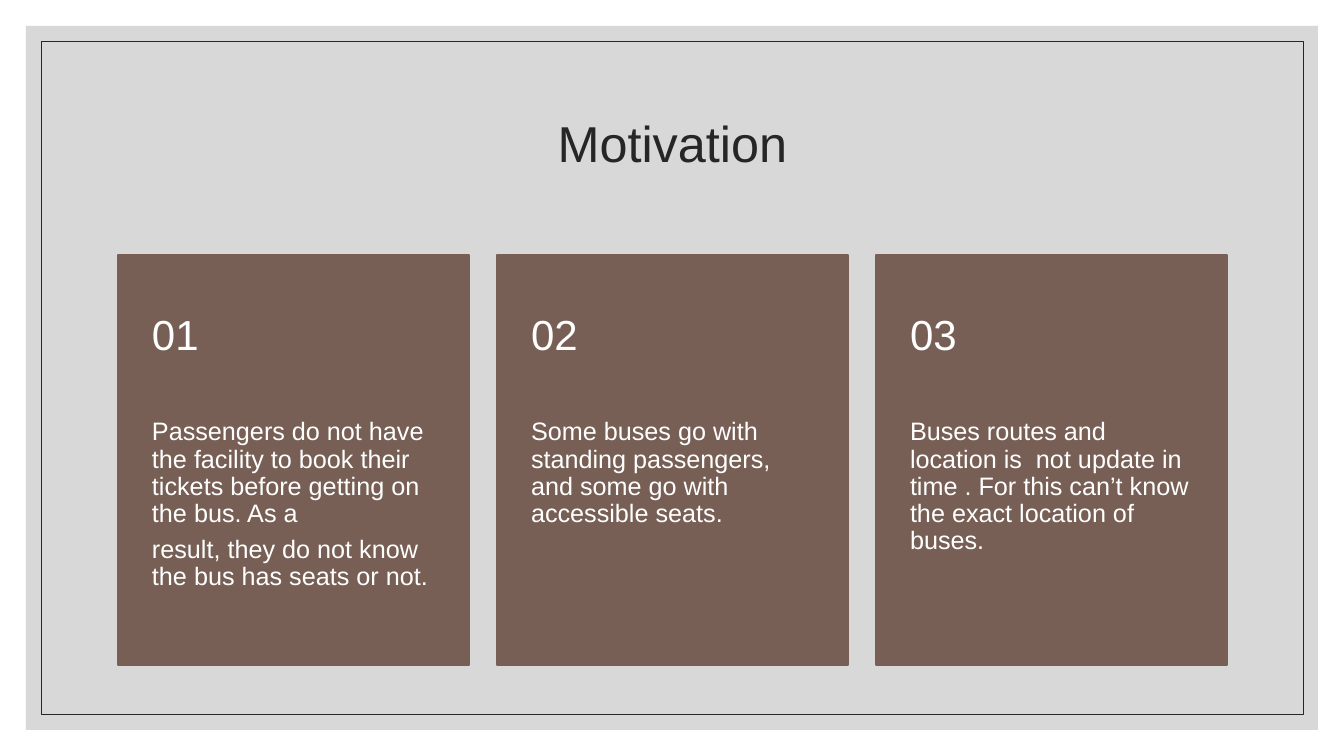
"""Build the Motivation slide: a framed backdrop, a title and three numbered cards."""
import pptx
import pptx.util
import pptx.dml.color
import pptx.enum.shapes
import pptx.enum.text
import pptx.oxml
import pptx.oxml.ns

SCALE = 914400 / 100.8
HUES = {"back": "BFBFBF", "ink": "262626", "card": "775F55", "text": "FFFFFF"}
CARDS = [
    ["Passengers do not have the facility to book their tickets before getting on the bus. As a",
     "result, they do not know the bus has seats or not."],
    ["Some buses go with standing passengers, and some go with accessible seats."],
    ["Buses routes and location is  not update in time . For this can’t know "
     "the exact location of buses. "],
]
LEFT, TOP, WIDE, HIGH, STEP = 118, 255, 351, 410, 379
HEAD = 164
PAD = 34


def emu(*pixels):
    """Turn pixels into EMU."""
    return [round(value * SCALE) for value in pixels]


def hue(name):
    """Look up a named colour."""
    return pptx.dml.color.RGBColor.from_string(HUES[name])


class Page:
    """Hold the style and the current slide."""
    face = "Arial"
    mid = pptx.enum.text.MSO_ANCHOR.MIDDLE
    top = pptx.enum.text.MSO_ANCHOR.TOP

    def __init__(self, deck):
        self.slide = deck.slides.add_slide(deck.slide_layouts[5])

    def style(self, para, size, color):
        """Set font and line spacing of a paragraph."""
        para.line_spacing = 0.9
        para.font.name = self.face
        para.font.size = pptx.util.Pt(size)
        para.font.color.rgb = hue(color)

    def rect(self, home, box, fill=None, line=None, width=1, alpha=None):
        """Draw a rectangle with optional fill, outline and opacity."""
        shape = home.add_shape(pptx.enum.shapes.MSO_SHAPE.RECTANGLE, *emu(*box))
        shape.shadow.inherit = False
        if fill:
            shape.fill.solid()
            shape.fill.fore_color.rgb = hue(fill)
        else:
            shape.fill.background()
        if line:
            shape.line.color.rgb = hue(line)
            shape.line.width = pptx.util.Pt(width)
        else:
            shape.line.fill.background()
        if alpha:
            tint = shape.fill._xPr.find(".//" + pptx.oxml.ns.qn("a:srgbClr"))
            space = pptx.oxml.ns.nsdecls("a")
            tint.append(pptx.oxml.parse_xml(f'<a:alpha {space} val="{alpha * 1000}"/>'))

    def title(self, text, box):
        """Place the title above the backdrop."""
        shape = self.slide.shapes.title
        shape.left, shape.top, shape.width, shape.height = emu(*box)
        shape.text_frame.text = text
        shape.text_frame.vertical_anchor = self.mid
        para = shape.text_frame.paragraphs[0]
        para.alignment = pptx.enum.text.PP_ALIGN.CENTER
        self.style(para, 36, "ink")
        tree = shape.element.getparent()
        tree.append(shape.element)

    def text(self, home, box, lines, size, anchor, above, below):
        """Write white paragraphs in a padded box."""
        frame = home.add_textbox(*emu(*box)).text_frame
        frame.word_wrap = True
        frame.vertical_anchor = anchor
        (frame.margin_left, frame.margin_top, frame.margin_right,
         frame.margin_bottom) = emu(PAD, above, PAD, below)
        frame.text = "\n".join(lines)
        for para in frame.paragraphs:
            self.style(para, size, "text")
            para.space_after = pptx.util.Pt(round(size * 0.35, 1))

    def card(self, index, lines):
        """Group a panel with its number and text."""
        left = LEFT + index * STEP
        home = self.slide.shapes.add_group_shape().shapes
        self.rect(home, (left, TOP, WIDE, HIGH), "card", "card")
        self.text(home, (left, TOP + HEAD, WIDE, HIGH - HEAD), lines, 18, self.top, 0, 36)
        self.text(home, (left, TOP, WIDE, HEAD), [f"{index + 1:02}"], 30, self.mid, 18, 18)


deck = pptx.Presentation()
deck.slide_width, deck.slide_height = emu(1344, 756)
page = Page(deck)
page.rect(page.slide.shapes, (26, 26, 1292, 704), fill="back", alpha=60)
page.rect(page.slide.shapes, (41, 41, 1262, 673), line="ink", width=0.5)
page.title("Motivation", (118, 71, 1109, 151))
for index, lines in enumerate(CARDS):
    page.card(index, lines)
deck.save("out.pptx")
